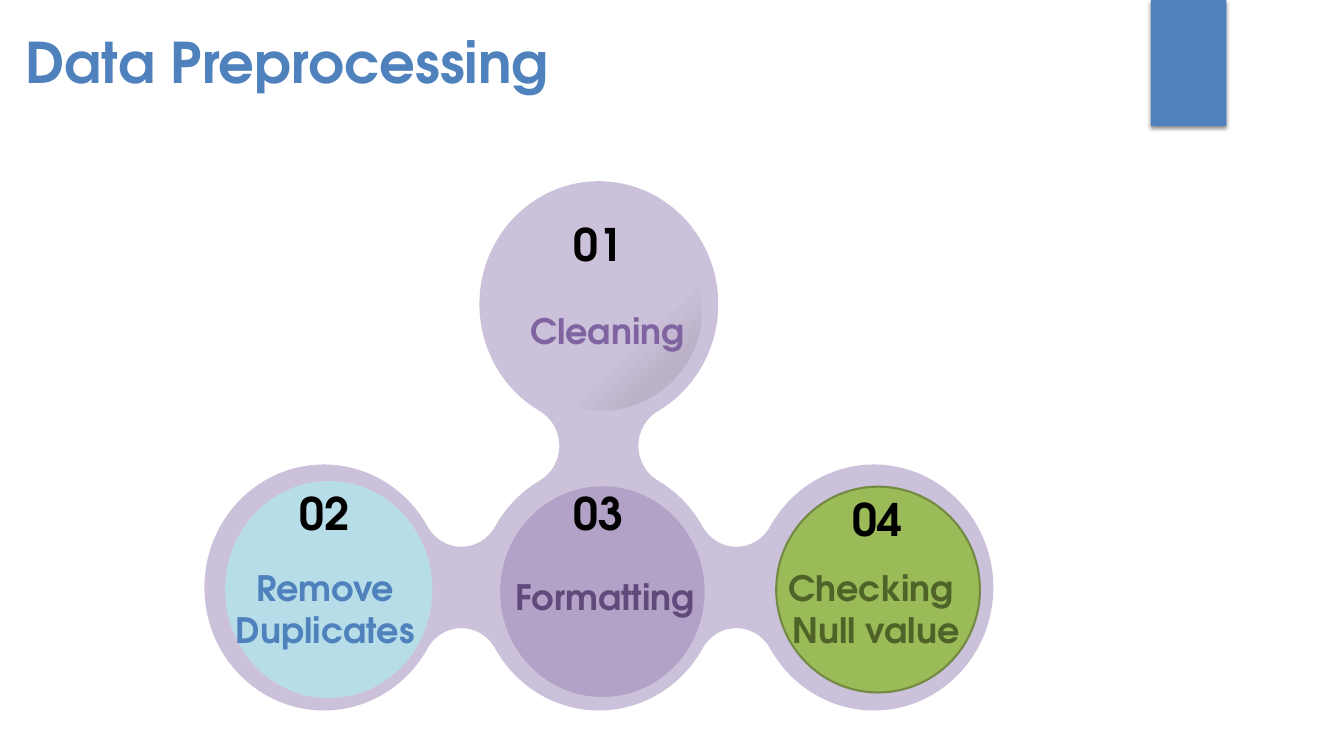
from dataclasses import dataclass
from math import atan2, ceil, cos, floor, pi, radians, sin, tan

from lxml import etree
from pptx import Presentation
from pptx.dml.color import RGBColor
from pptx.enum.shapes import MSO_SHAPE
from pptx.enum.text import MSO_AUTO_SIZE, PP_ALIGN
from pptx.oxml import parse_xml
from pptx.oxml.ns import nsdecls, qn
from pptx.util import Pt

RECTANGLE, OVAL = MSO_SHAPE.RECTANGLE, MSO_SHAPE.OVAL
CENTER = PP_ALIGN.CENTER
GROW = MSO_AUTO_SIZE.SHAPE_TO_FIT_TEXT


@dataclass(frozen=True)
class Theme:
    font: str = "TeX Gyre Adventor"
    title_size: int = 40
    number_size: int = 32
    label_size: int = 25
    blue: str = "4F81BD"
    black: str = "000000"
    lilac: str = "CCC1DA"
    shade: str = "2B323B"


THEME = Theme()


@dataclass(frozen=True)
class Step:
    """One disc; offsets are in points from the centre of its node."""
    number: str
    lines: tuple
    color: str
    column: int
    row: int
    number_at: tuple
    label_at: tuple
    label_width: float
    disc: tuple = ()  # dx, dy, width, height, fill
    border: str = ""


STEPS = (
    Step("01", ("Cleaning",), "8064A2", 0, -1, (0, -43), (6, 19), 126),
    Step("02", ("Remove", "Duplicates"), "4F81BD", -1, 0, (0.5, -53), (1, 15), 144,
         (3.5, 1.5, 148, 155, "B7DEE8")),
    Step("03", ("Formatting",), "604A7B", 0, 0, (0, -53), (4.5, 6.5), 144,
         (2.5, 3, 146, 150.5, "B3A2C7")),
    Step("04", ("Checking ", "Null value"), "4F6228", 1, 0, (2.5, -49), (1.5, 15), 141,
         (3, 1.5, 145.5, 147, "9BBB59"), "738A42"),
)


def paint(shape, fill, line=""):
    shape.shadow.inherit = False
    shape.fill.solid()
    shape.fill.fore_color.rgb = RGBColor.from_string(fill)
    if line:
        shape.line.color.rgb = RGBColor.from_string(line)
        shape.line.width = Pt(1.5)
    else:
        shape.line.fill.background()


def add_words(page, box, lines, size, color):
    left, top, width, height = box
    frame = page.shapes.add_textbox(Pt(left), Pt(top), Pt(width), Pt(height)).text_frame
    frame.word_wrap = False
    frame.auto_size = GROW
    for index, line in enumerate(lines):
        para = frame.add_paragraph() if index else frame.paragraphs[0]
        para.alignment = CENTER
        span = para.add_run()
        span.text = line
        span.font.name = THEME.font
        span.font.size = Pt(size)
        span.font.bold = True
        span.font.color.rgb = RGBColor.from_string(color)


def arc(x, y, radius, start, end):
    """Curve points of an arc, split at the quarters: two handles and an end each."""
    low, high = sorted((start, end))
    quarters = [n * pi / 2 for n in range(ceil(low / (pi / 2)), floor(high / (pi / 2)) + 1)]
    cuts = sorted({start, end, *quarters}, reverse=start > end)
    points = []
    for a, b in zip(cuts, cuts[1:]):
        reach = 4 / 3 * tan((b - a) / 4)
        for angle, pull in ((a, reach), (b, -reach), (b, 0)):
            points.append((x + radius * (cos(angle) - pull * sin(angle)),
                           y + radius * (sin(angle) + pull * cos(angle))))
    return points


def add_outline(page, center, first, points, stretch):
    """Closed curved outline around a centre, stretched vertically."""
    x, y = center
    placed = [(Pt(x + dx), Pt(y + dy * stretch)) for dx, dy in [first, *points]]
    builder = page.shapes.build_freeform(*placed[0], scale=1.0)
    builder.add_line_segments(placed[1:], close=True)
    shape = builder.convert_to_shape()
    # Join every three straight segments into one curve
    segments = list(shape.element.spPr.iter(qn("a:lnTo")))
    for index in range(0, len(points), 3):
        curve = etree.Element(qn("a:cubicBezTo"))
        segments[index].addprevious(curve)
        for segment in segments[index:index + 3]:
            curve.append(segment[0])
            segment.getparent().remove(segment)
    return shape


def add_header(page, box):
    left, top, width, _ = box
    # Accent tab with its shadow
    tab = page.shapes.add_shape(RECTANGLE, Pt(left + width - 138), Pt(top), Pt(54), Pt(90))
    paint(tab, THEME.blue)
    effects = tab.element.spPr.find(qn("a:effectLst"))
    effects.append(parse_xml(
        f'<a:outerShdw {nsdecls("a")} blurRad="{Pt(3)}" dist="{Pt(2)}" dir="5400000">'
        f'<a:srgbClr val="{THEME.black}"><a:alpha val="45000"/></a:srgbClr></a:outerShdw>'))
    # Title
    add_words(page, (left + 8, top + 16, 394.5, 55.5),
              ("Data Preprocessing",), THEME.title_size, THEME.blue)


def add_web(page, hub, pitch, radius, neck, stretch):
    """Discs around a hub, joined by necks with rounded, tangent sides."""
    half = pitch / 2
    fillet = (half ** 2 + neck ** 2 - radius ** 2) / (2 * (radius - neck))
    side = neck + fillet
    # Circles in the order in which the outline meets them; every second one is hollow
    centers = [(pitch, 0), (half, -side), (0, 0), (side, -half), (0, -pitch), (-side, -half),
               (0, 0), (-half, -side), (-pitch, 0), (-half, side), (0, 0), (half, side)]
    points = []
    for index, (x, y) in enumerate(centers):
        hollow = index % 2
        before = centers[index - 1]
        after = centers[(index + 1) % len(centers)]
        start = atan2(before[1] - y, before[0] - x)
        end = atan2(after[1] - y, after[0] - x)
        sweep = (end - start) % (2 * pi) if hollow else -((start - end) % (2 * pi))
        points += arc(x, y, fillet if hollow else radius, start, start + sweep)
    paint(add_outline(page, hub, points[-1], points, stretch), THEME.lilac)


def add_fold(page, center):
    """Soft shade on the lower right of a disc."""
    radius, start, end = 72.5, radians(-40), radians(146)
    first = (radius * cos(start), radius * sin(start))
    fold = add_outline(page, center, first, arc(0, 0, radius, start, end), 0.98)
    paint(fold, THEME.shade)
    stops = "".join(
        f'<a:gs pos="{place}000"><a:srgbClr val="{THEME.shade}">'
        f'<a:alpha val="{alpha}000"/></a:srgbClr></a:gs>'
        for place, alpha in ((0, 0), (62, 0), (78, 10), (100, 10)))
    properties = fold.element.spPr
    properties.replace(properties.find(qn("a:solidFill")), parse_xml(
        f'<a:gradFill {nsdecls("a")} rotWithShape="1"><a:gsLst>{stops}</a:gsLst>'
        '<a:lin ang="2700000" scaled="0"/></a:gradFill>'))


def add_step(page, step, center):
    x, y = center
    if step.disc:
        dx, dy, width, height, fill = step.disc
        disc = page.shapes.add_shape(OVAL, Pt(x + dx - width / 2), Pt(y + dy - height / 2),
                                     Pt(width), Pt(height))
        paint(disc, fill, step.border)
    else:
        add_fold(page, (x + 0.5, y + 5))
    blocks = (((step.number,), step.number_at, 52, 46, THEME.number_size, THEME.black),
              (step.lines, step.label_at, step.label_width, 7.5 + 30 * len(step.lines),
               THEME.label_size, step.color))
    for lines, (dx, dy), width, height, size, color in blocks:
        add_words(page, (x + dx - width / 2, y + dy - height / 2, width, height),
                  lines, size, color)


def add_diagram(page, box):
    left, top, width, height = box
    radius, stretch = 85.3, 1.03
    pitch = width / 2 - radius
    hub = (left + width / 2, top + height - radius * stretch)
    add_web(page, hub, pitch, radius, 28.2, stretch)
    for step in STEPS:
        add_step(page, step, (hub[0] + step.column * pitch,
                              hub[1] + step.row * pitch * stretch))


def main():
    deck = Presentation()
    deck.slide_width, deck.slide_height = Pt(960), Pt(540)
    page = deck.slides.add_slide(deck.slide_layouts[6])
    add_header(page, (0, 0, 960, 90))
    add_diagram(page, (146, 129, 563.5, 378.5))
    deck.save("out.pptx")


if __name__ == "__main__":
    main()
